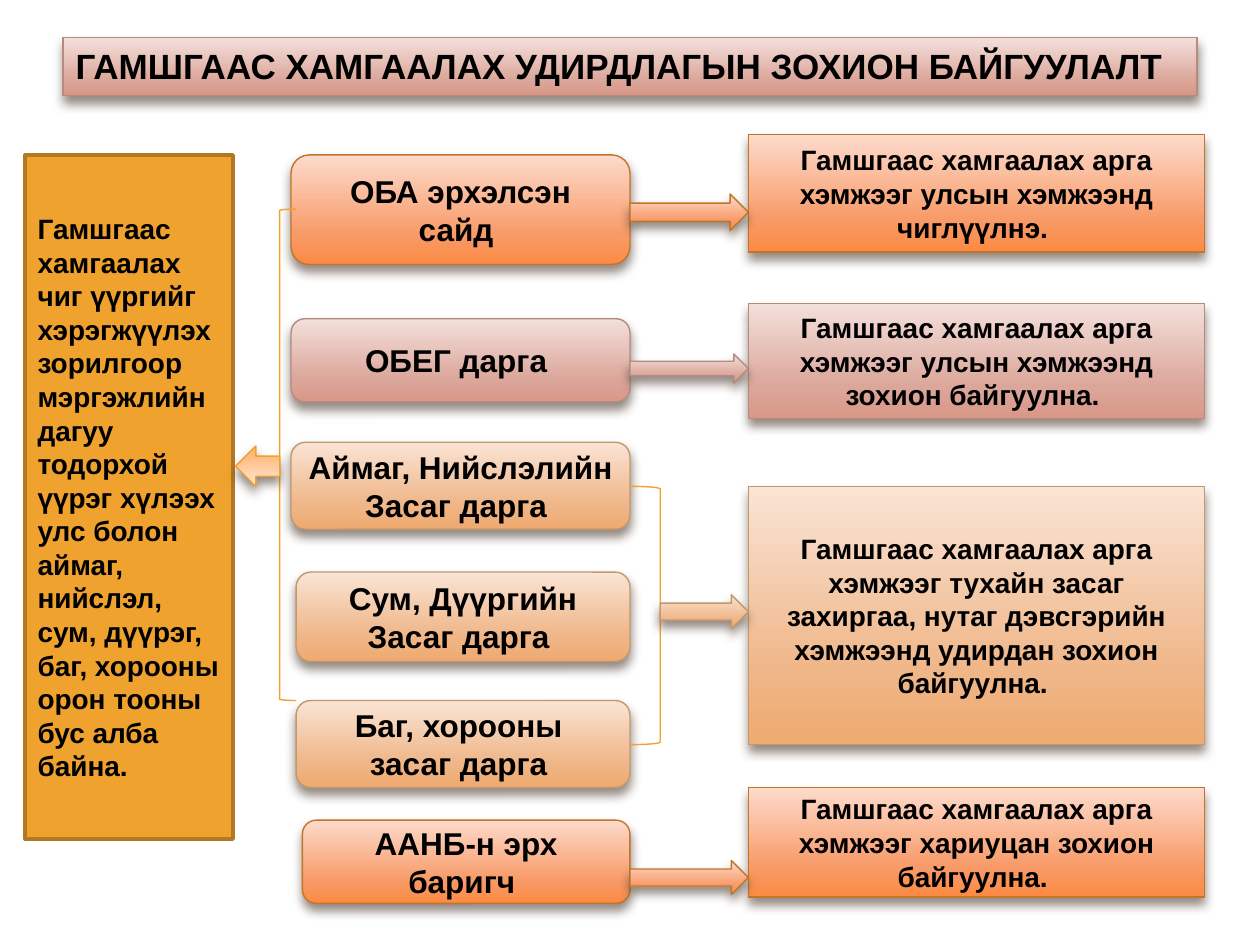
from copy import deepcopy

from lxml import etree
from pptx import Presentation
from pptx.dml.color import RGBColor
from pptx.enum.shapes import MSO_SHAPE
from pptx.enum.text import MSO_ANCHOR, MSO_AUTO_SIZE, PP_ALIGN
from pptx.oxml.ns import qn
from pptx.util import Inches, Pt

ROUNDED = MSO_SHAPE.ROUNDED_RECTANGLE
PROCESS = MSO_SHAPE.FLOWCHART_PROCESS
RECTANGLE = MSO_SHAPE.RECTANGLE
ARROW = MSO_SHAPE.RIGHT_ARROW
LEFT_BRACKET = MSO_SHAPE.LEFT_BRACKET
RIGHT_BRACKET = MSO_SHAPE.RIGHT_BRACKET
LEFT, CENTER = PP_ALIGN.LEFT, PP_ALIGN.CENTER
TOP, MIDDLE = MSO_ANCHOR.TOP, MSO_ANCHOR.MIDDLE
NO_AUTOFIT = MSO_AUTO_SIZE.NONE

COLORS = {
    "text": "000000",
    "shadow": "4E3B30",
    "amber": "F0A22E",
    "amber_edge": "B27822",
}
GRADIENTS = {
    "orange": ("FDDBCC", "F89B69", "FC8A43", "C17529"),
    "rose": ("F3E0DB", "DCA79B", "D89787", "B58B80"),
    "sand": ("FAE4D5", "EFB688", "EFAA6F", "C3986D"),
    "amber": ("FFE7D7", "FFBE84", "FFB468", "F0A22E"),
}
STOP_POSITIONS = (0, 0.72, 1)


class SlideBuilder:
    font = "Arial"
    thin = 0.79

    def __init__(self, page):
        self.page = page

    def shape(self, kind, place):
        shape = self.page.shapes.add_shape(kind, *map(Inches, place))
        shape.shadow.inherit = False
        return shape

    def outline(self, shape, color, width):
        shape.line.color.rgb = RGBColor.from_string(color)
        shape.line.width = Pt(width)

    def gradient(self, shape, theme):
        *stop_colors, edge = GRADIENTS[theme]
        shape.fill.gradient()
        shape.fill.gradient_angle = 270
        stop_list = next(shape._element.spPr.iter(qn("a:gsLst")))
        stop_list.append(deepcopy(stop_list[-1]))
        for stop, color, position in zip(
            shape.fill.gradient_stops, stop_colors, STOP_POSITIONS
        ):
            stop.color.rgb = RGBColor.from_string(color)
            stop.position = position
        self.outline(shape, edge, self.thin)
        self.drop_shadow(shape)

    def drop_shadow(self, shape):
        shape.shadow.inherit = False
        effects = shape._element.spPr.find(qn("a:effectLst"))
        shadow = etree.SubElement(
            effects, qn("a:outerShdw"), blurRad=str(Pt(6)), dist=str(Pt(4)),
            dir="5400000", algn="ctr", rotWithShape="0",
        )
        color = etree.SubElement(shadow, qn("a:srgbClr"), val=COLORS["shadow"])
        etree.SubElement(color, qn("a:alpha"), val="60000")

    def label(self, shape, text, size, align=CENTER, anchor=MIDDLE):
        frame = shape.text_frame
        frame.text = text
        frame_format = {
            "word_wrap": True,
            "auto_size": NO_AUTOFIT,
            "vertical_anchor": anchor,
        }
        for name, value in frame_format.items():
            setattr(frame, name, value)
        span_format = {"name": self.font, "size": Pt(size), "bold": True}
        for para in frame.paragraphs:
            para.alignment = align
            for span in para.runs:
                for name, value in span_format.items():
                    setattr(span.font, name, value)
                span.font.color.rgb = RGBColor.from_string(COLORS["text"])

    def title(self, place, text, theme):
        title = self.page.shapes.title
        for name, value in zip(("left", "top", "width", "height"), place):
            setattr(title, name, Inches(value))
        self.gradient(title, theme)
        self.label(title, text, 20, LEFT, TOP)

    def panel(self, place, text):
        panel = self.shape(RECTANGLE, place)
        panel.fill.solid()
        panel.fill.fore_color.rgb = RGBColor.from_string(COLORS["amber"])
        self.outline(panel, COLORS["amber_edge"], 2)
        self.label(panel, text, 16, LEFT)

    def box(self, kind, place, theme, text, size):
        box = self.shape(kind, place)
        self.gradient(box, theme)
        self.label(box, text, size)

    def bracket(self, kind, place):
        bracket = self.shape(kind, place)
        bracket.fill.background()
        self.outline(bracket, COLORS["amber"], self.thin)

    def arrow(self, place, theme, rotation=0):
        arrow = self.shape(ARROW, place)
        arrow.rotation = rotation
        self.gradient(arrow, theme)


deck = Presentation()
deck.slide_width, deck.slide_height = Inches(10), Inches(7.5)
builder = SlideBuilder(deck.slides.add_slide(deck.slide_layouts[5]))

builder.title(
    (0.5, 0.3, 9, 0.46), "ГАМШГААС ХАМГААЛАХ УДИРДЛАГЫН ЗОХИОН БАЙГУУЛАЛТ", "rose"
)
builder.panel(
    (0.2, 1.23, 1.65, 5.43),
    "Гамшгаас хамгаалах чиг үүргийг хэрэгжүүлэх зорилгоор мэргэжлийн дагуу "
    "тодорхой үүрэг хүлээх улс болон аймаг, нийслэл, сум, дүүрэг, баг, "
    "хорооны орон тооны бус алба байна.",
)

ROLES_RIGHT = 5
roles = [
    (2.31, 1.23, 0.87, "orange", "ОБА эрхэлсэн сайд "),
    (2.31, 2.53, 0.66, "rose", "ОБЕГ дарга "),
    (2.31, 3.51, 0.69, "sand", "Аймаг, Нийслэлийн Засаг дарга "),
    (2.35, 4.54, 0.71, "sand", "Сум, Дүүргийн Засаг дарга "),
    (2.35, 5.56, 0.69, "sand", "Баг, хорооны \nзасаг дарга "),
    (2.4, 6.51, 0.66, "orange", "ААНБ-н эрх баригч "),
]
for left, top, height, theme, text in roles:
    place = (left, top, ROLES_RIGHT - left, height)
    builder.box(ROUNDED, place, theme, text, 18)

DUTIES_LEFT, DUTIES_WIDTH = 5.94, 3.62
DUTY_START = "Гамшгаас хамгаалах арга хэмжээг "
duties = [
    (1.07, 0.93, "orange", "улсын хэмжээнд чиглүүлнэ. "),
    (2.41, 0.91, "rose", "улсын хэмжээнд зохион байгуулна. "),
    (3.86, 2.05, "sand", "тухайн засаг захиргаа, нутаг дэвсгэрийн "
     "хэмжээнд удирдан зохион байгуулна. "),
    (6.25, 0.87, "orange", "хариуцан зохион байгуулна. "),
]
for top, height, theme, text in duties:
    place = (DUTIES_LEFT, top, DUTIES_WIDTH, height)
    builder.box(PROCESS, place, theme, DUTY_START + text, 16)

builder.bracket(LEFT_BRACKET, (2.22, 1.66, 0.13, 3.9))
builder.bracket(RIGHT_BRACKET, (ROLES_RIGHT, 3.86, 0.24, 2.05))

arrows = [
    (ROLES_RIGHT, 1.54, 0.29, "orange"),
    (ROLES_RIGHT, 2.81, 0.23, "rose"),
    (ROLES_RIGHT + 0.24, 4.72, 0.27, "sand"),
    (ROLES_RIGHT, 6.83, 0.27, "orange"),
]
for left, top, height, theme in arrows:
    builder.arrow((left, top, DUTIES_LEFT - left, height), theme)
builder.arrow((1.87, 3.54, 0.35, 0.32), "amber", 180)

deck.save("out.pptx")
